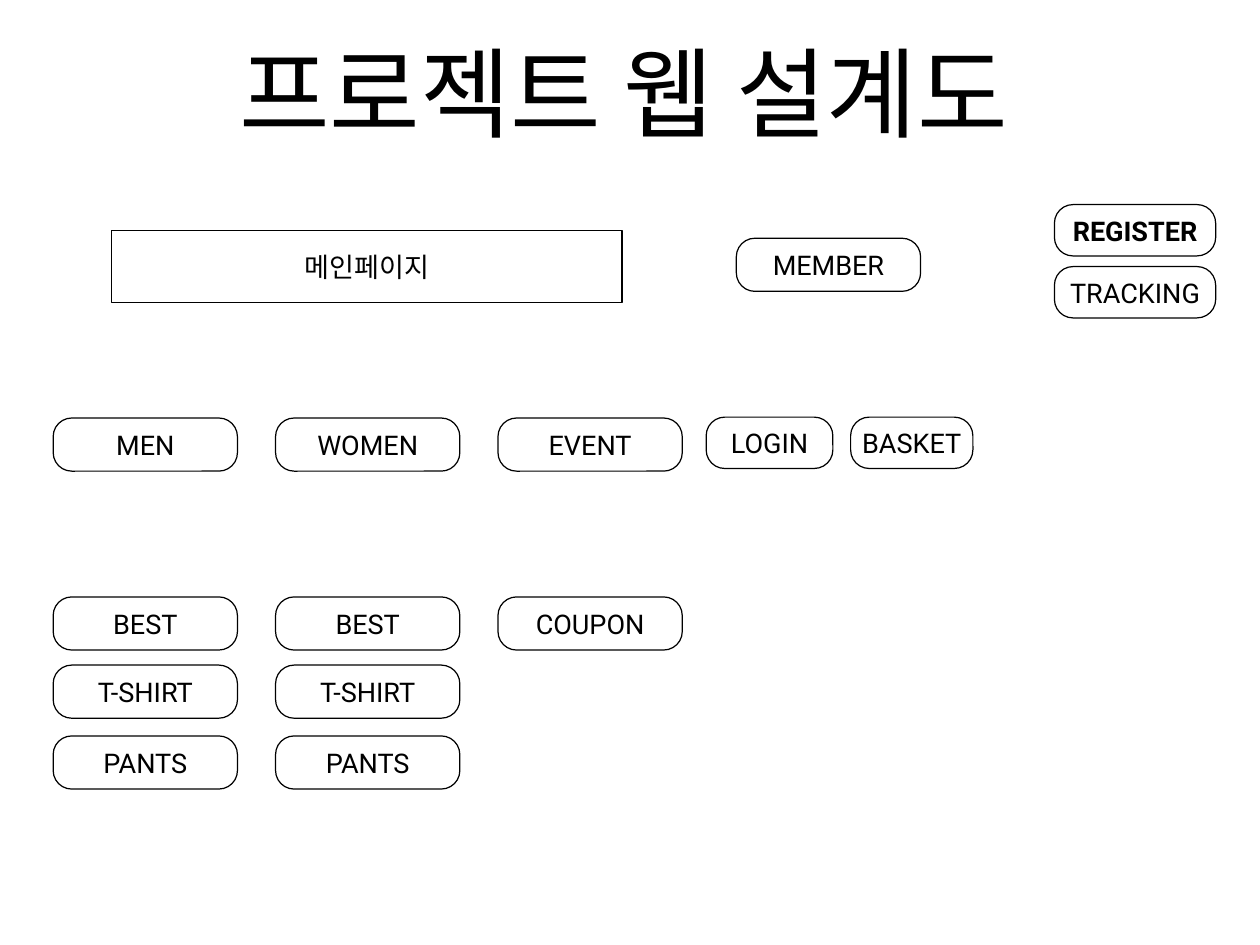
"""Build the web project site map slide."""
from pptx import Presentation
from pptx.dml.color import RGBColor
from pptx.enum import shapes, text
from pptx.util import Inches, Pt

BLACK = RGBColor(0, 0, 0)
WHITE = RGBColor(255, 255, 255)
RECT = shapes.MSO_SHAPE.RECTANGLE
ROUND = shapes.MSO_SHAPE.ROUNDED_RECTANGLE


def write(shape, words, size, anchor, bold=None):
    frame = shape.text_frame
    frame.word_wrap = True
    frame.vertical_anchor = anchor
    frame.margin_left = frame.margin_right = Inches(0.06)
    frame.margin_top = frame.margin_bottom = Inches(0.06)
    para = frame.paragraphs[0]
    para.text = words
    para.alignment = text.PP_ALIGN.CENTER
    para.font.name = "Roboto"
    para.font.size = Pt(size)
    para.font.bold = bold
    para.font.color.rgb = BLACK


def add_box(kind, words, left, top, width, height, bold=None):
    box = slide.shapes.add_shape(
        kind, Inches(left), Inches(top), Inches(width), Inches(height))
    box.shadow.inherit = False
    box.fill.solid()
    box.fill.fore_color.rgb = WHITE
    box.line.color.rgb = BLACK
    box.line.width = Pt(1)
    if kind == ROUND:
        box.adjustments[0] = 0.21 / height
    write(box, words, 22, text.MSO_ANCHOR.MIDDLE, bold)


deck = Presentation()
deck.slide_width = Inches(14.22)
deck.slide_height = Inches(10.67)
slide = deck.slides.add_slide(deck.slide_layouts[6])

title = slide.shapes.add_textbox(
    Inches(1.32), Inches(0.19), Inches(11.44), Inches(1.57))
write(title, "프로젝트 웹 설계도", 80, text.MSO_ANCHOR.BOTTOM)

add_box(RECT, "메인페이지", 1.26, 2.6, 5.76, 0.82)

rows = [4.72, 6.74, 7.51, 8.31]
menus = [
    ["MEN", "BEST", "T-SHIRT", "PANTS"],
    ["WOMEN", "BEST", "T-SHIRT", "PANTS"],
    ["EVENT", "COUPON"],
]
for col, menu in enumerate(menus):
    for label, top in zip(menu, rows):
        add_box(ROUND, label, 0.6 + 2.51 * col, top, 2.08, 0.6)

add_box(ROUND, "MEMBER", 8.31, 2.69, 2.08, 0.6)

links = [
    ("LOGIN", 7.97, 4.71, 1.43, None),
    ("BASKET", 9.6, 4.71, 1.38, None),
    ("REGISTER", 11.9, 2.31, 1.82, True),
    ("TRACKING", 11.9, 3.01, 1.82, None),
]
for label, left, top, width, bold in links:
    add_box(ROUND, label, left, top, width, 0.58, bold)

deck.save("out.pptx")
